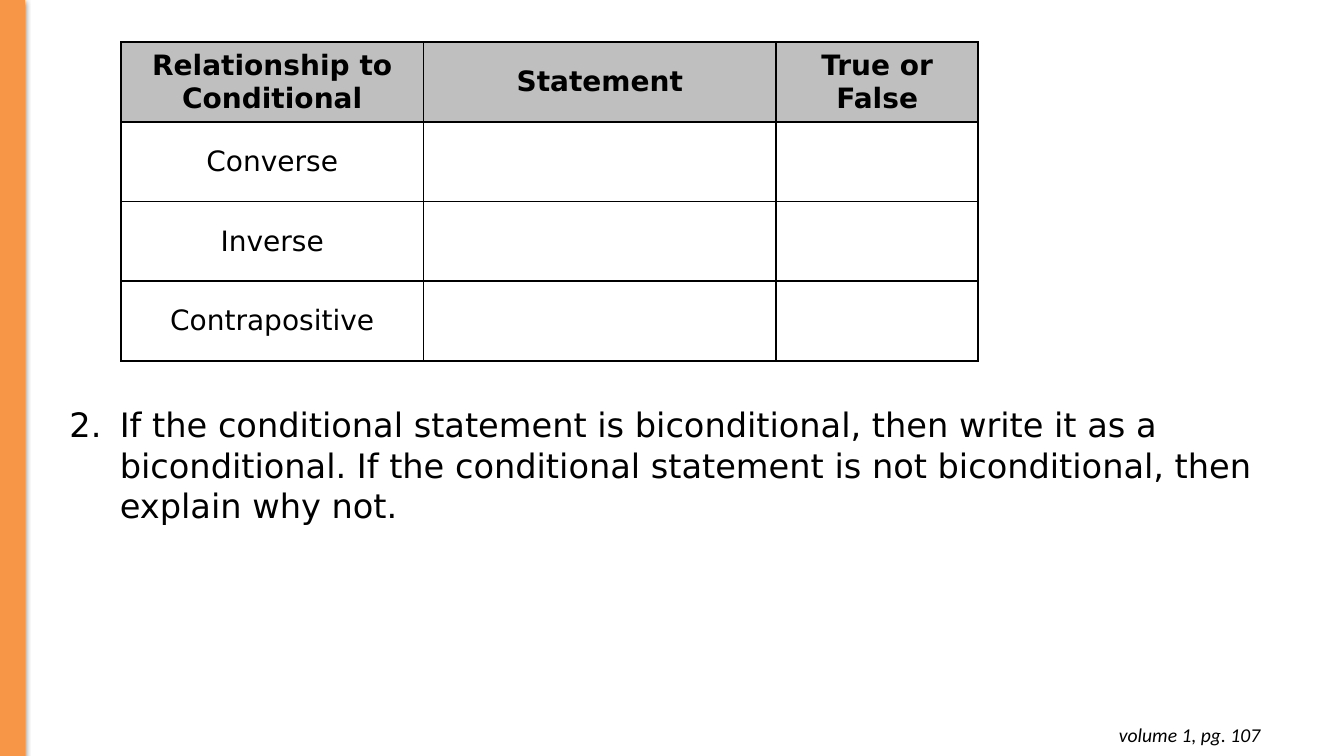
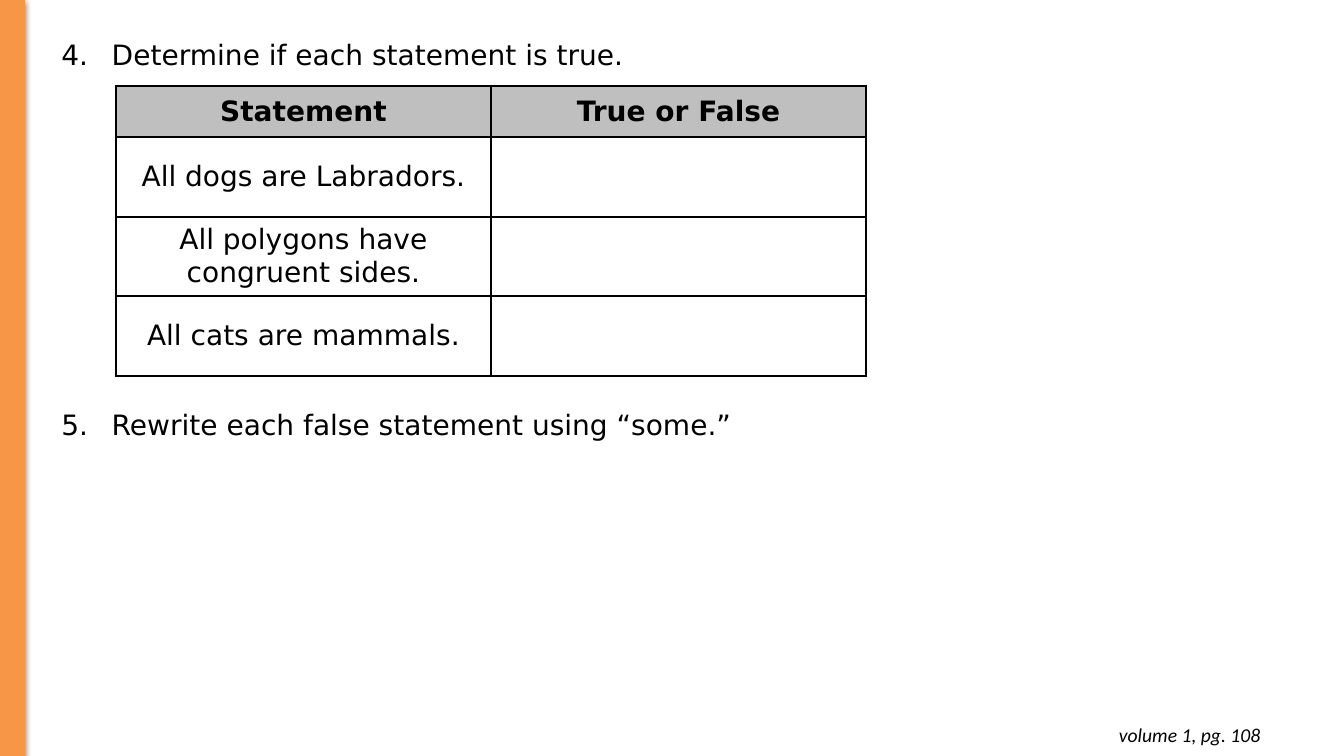
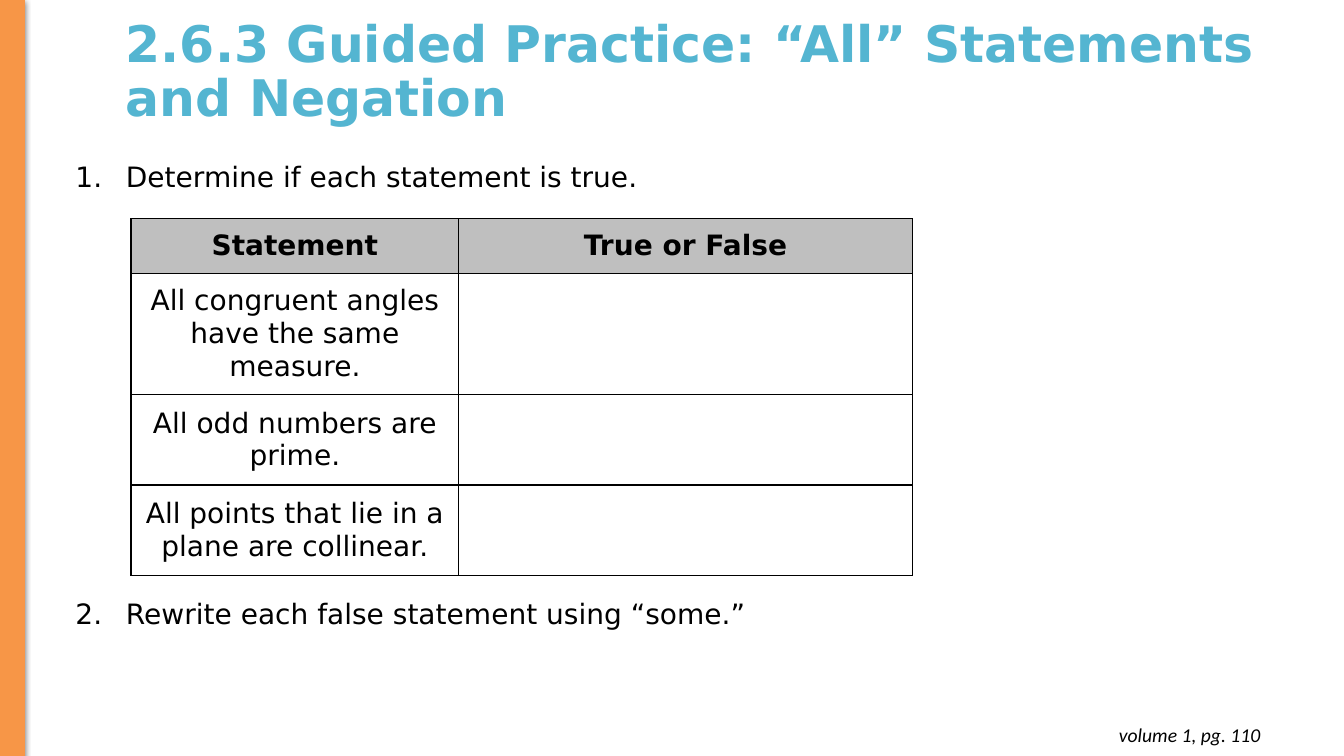
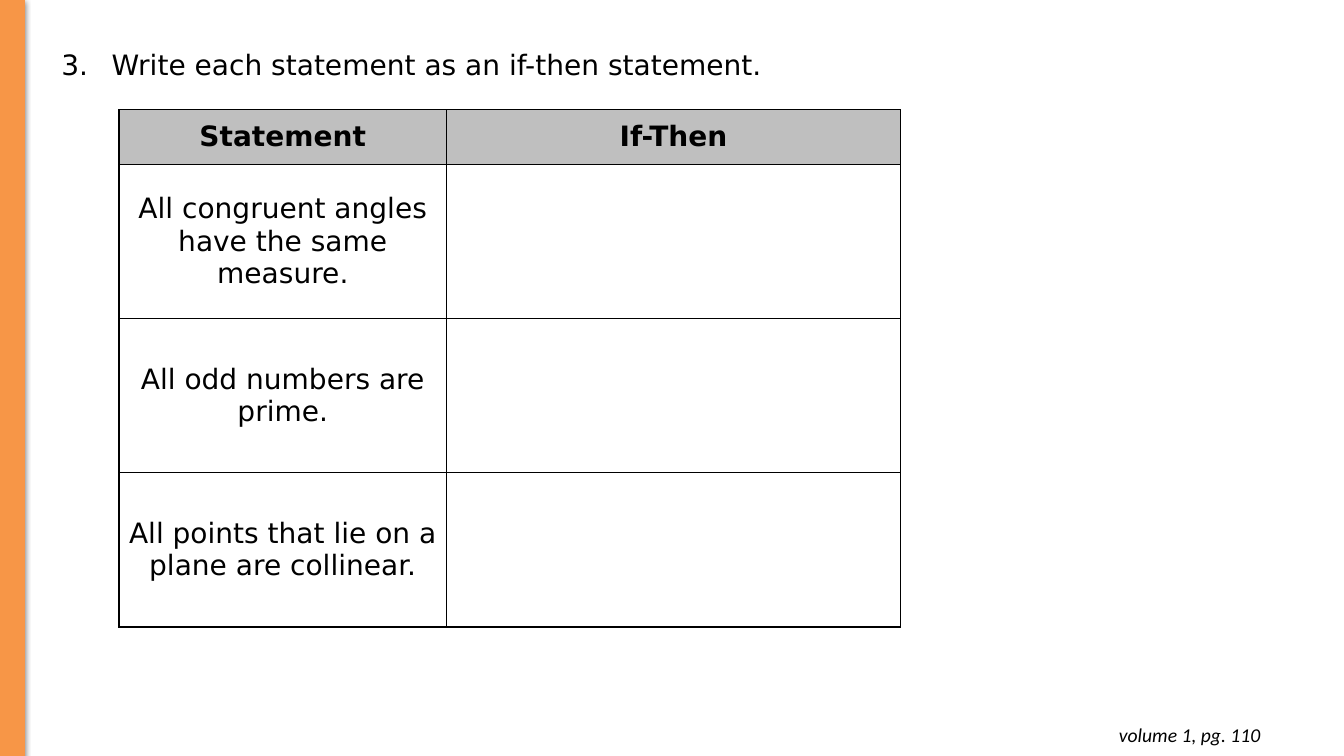
from dataclasses import dataclass
from typing import Optional

import pptx
import pptx.dml.color
import pptx.enum.shapes
import pptx.enum.text
import pptx.oxml.ns
import pptx.oxml.xmlchemy
import pptx.presentation
import pptx.slide
import pptx.text.text
import pptx.util
from lxml import etree

EMU_PER_PX = 9144  # 100 px to the inch
SLIDE_WIDTH, SLIDE_HEIGHT = 1333, 750

BLACK = pptx.dml.color.RGBColor(0x00, 0x00, 0x00)
ORANGE = pptx.dml.color.RGBColor(0xF7, 0x96, 0x47)
BLUE = pptx.dml.color.RGBColor(0x54, 0xB5, 0xD1)
GREY = pptx.dml.color.RGBColor(0xBF, 0xBF, 0xBF)

BODY_FONT = "DejaVu Sans"
FOOTER_FONT = "Calibri"
TABLE_SIZE = 20
HANGING_INDENT = 50

Align = pptx.enum.text.PP_ALIGN
Anchor = pptx.enum.text.MSO_ANCHOR
AutoSize = pptx.enum.text.MSO_AUTO_SIZE
qn = pptx.oxml.ns.qn


@dataclass(frozen=True)
class Box:
    left: int
    top: int
    width: int
    height: int


@dataclass(frozen=True)
class Question:
    number: int
    text: str
    box: Box
    size: int = 20


@dataclass(frozen=True)
class Grid:
    """A table with a header row and answer columns left blank."""
    left: int
    top: int
    columns: tuple[int, ...]
    rows: tuple[int, ...]
    headers: tuple[str, ...]
    labels: tuple[str, ...]
    border: float
    margins: tuple[int, int] = (10, 5)


@dataclass(frozen=True)
class Page:
    number: int
    questions: tuple[Question, ...]
    grid: Grid
    title: Optional[str] = None


PAGES = (
    Page(
        107,
        (Question(2, "If the conditional statement is biconditional, then write it as a "
                     "biconditional. If the conditional statement is not biconditional, "
                     "then explain why not.", Box(59, 396, 1201, 131), 24),),
        Grid(120, 42, (300, 350, 200), (79,) * 4,
             ("Relationship to Conditional", "Statement", "True or False"),
             ("Converse", "Inverse", "Contrapositive"), 1.5),
    ),
    Page(
        108,
        (Question(4, "Determine if each statement is true.", Box(51, 32, 911, 44)),
         Question(5, "Rewrite each false statement using “some.”", Box(51, 399, 911, 44))),
        Grid(115, 85, (372, 372), (51, 79, 79, 79),
             ("Statement", "True or False"),
             ("All dogs are Labradors.", "All polygons have congruent sides.",
              "All cats are mammals."), 1.5),
    ),
    Page(
        110,
        (Question(1, "Determine if each statement is true.", Box(65, 153, 911, 44)),
         Question(2, "Rewrite each false statement using “some.”", Box(65, 587, 911, 44))),
        Grid(130, 217, (325, 450), (54, 120, 90, 90),
             ("Statement", "True or False"),
             ("All congruent angles have the same measure.", "All odd numbers are prime.",
              "All points that lie in a plane are collinear."), 1, (7, 10)),
        "2.6.3 Guided Practice: “All” Statements and Negation",
    ),
    Page(
        110,
        (Question(3, "Write each statement as an if-then statement.", Box(51, 42, 911, 44)),),
        Grid(118, 109, (325, 450), (54, 153, 153, 153),
             ("Statement", "If-Then"),
             ("All congruent angles have the same measure.", "All odd numbers are prime.",
              "All points that lie on a plane are collinear."), 1, (7, 10)),
    ),
)


def px(length: int) -> pptx.util.Emu:
    return pptx.util.Emu(length * EMU_PER_PX)


def place(box: Box) -> tuple[pptx.util.Emu, ...]:
    return px(box.left), px(box.top), px(box.width), px(box.height)


def add_child(parent: etree._Element, tag: str, **attributes: object) -> etree._Element:
    values = {name: str(value) for name, value in attributes.items()}
    return etree.SubElement(parent, qn(tag), values)


def format_runs(paragraph: pptx.text.text._Paragraph, size: int,
                color: pptx.dml.color.RGBColor = BLACK, name: str = BODY_FONT,
                bold: bool = False, italic: bool = False) -> None:
    for run in paragraph.runs:
        run.font.name = name
        run.font.size = pptx.util.Pt(size)
        run.font.bold = bold
        run.font.italic = italic
        run.font.color.rgb = color


def add_text(slide: pptx.slide.Slide, box: Box, text: str,
             vertical_margin: int = 5) -> pptx.text.text.TextFrame:
    text_frame = slide.shapes.add_textbox(*place(box)).text_frame
    text_frame.text = text
    text_frame.word_wrap = True
    text_frame.auto_size = AutoSize.SHAPE_TO_FIT_TEXT
    text_frame.margin_left = text_frame.margin_right = px(10)
    text_frame.margin_top = text_frame.margin_bottom = px(vertical_margin)
    return text_frame


def add_title(slide: pptx.slide.Slide, title: str) -> None:
    text_frame = add_text(slide, Box(115, 0, 1144, 145), title)
    text_frame.auto_size = AutoSize.NONE
    text_frame.vertical_anchor = Anchor.MIDDLE
    paragraph = text_frame.paragraphs[0]
    paragraph.line_spacing = 0.9
    format_runs(paragraph, 36, BLUE, bold=True)


def add_question(slide: pptx.slide.Slide, question: Question) -> None:
    paragraph = add_text(slide, question.box, question.text).paragraphs[0]
    properties = paragraph._p.get_or_add_pPr()
    properties.set("marL", str(px(HANGING_INDENT)))
    properties.set("indent", str(px(-HANGING_INDENT)))
    add_child(properties, "a:buFont", typeface="+mj-lt")
    add_child(properties, "a:buAutoNum", type="arabicPeriod", startAt=question.number)
    format_runs(paragraph, question.size)


def add_side_band(slide: pptx.slide.Slide) -> None:
    band = slide.shapes.add_shape(pptx.enum.shapes.MSO_SHAPE.RECTANGLE,
                                  *place(Box(0, 0, 24, SLIDE_HEIGHT + 1)))
    band.fill.solid()
    band.fill.fore_color.rgb = ORANGE
    band.line.color.rgb = ORANGE
    band.line.width = pptx.util.Pt(0.75)
    band.shadow.inherit = False
    effects = band._element.spPr.find(qn("a:effectLst"))
    shadow = add_child(effects, "a:outerShdw", blurRad=pptx.util.Pt(4.5),
                       dist=pptx.util.Pt(1.5), dir=90 * 60000, rotWithShape=0)
    color = add_child(shadow, "a:srgbClr", val=BLACK)
    add_child(color, "a:alpha", val=50000)


def add_footer(slide: pptx.slide.Slide, page_number: int) -> None:
    text_frame = add_text(slide, Box(972, 707, 288, 44), f"volume 1, pg. {page_number}", 10)
    paragraph = text_frame.paragraphs[0]
    paragraph.alignment = Align.RIGHT
    format_runs(paragraph, 14, name=FOOTER_FONT, italic=True)


def set_borders(cell: pptx.table._Cell, width: float) -> None:
    properties = cell._tc.get_or_add_tcPr()
    for side in ("a:lnL", "a:lnR", "a:lnT", "a:lnB"):
        line = add_child(properties, side, w=pptx.util.Pt(width))
        add_child(add_child(line, "a:solidFill"), "a:srgbClr", val=BLACK)


def format_cell(cell: pptx.table._Cell, grid: Grid, is_header: bool) -> None:
    set_borders(cell, grid.border)
    cell.vertical_anchor = Anchor.MIDDLE
    cell.margin_left = cell.margin_right = px(grid.margins[0])
    cell.margin_top = cell.margin_bottom = px(grid.margins[1])
    if is_header:
        cell.fill.solid()
        cell.fill.fore_color.rgb = GREY
    else:
        cell.fill.background()
    paragraph = cell.text_frame.paragraphs[0]
    paragraph.alignment = Align.CENTER
    format_runs(paragraph, TABLE_SIZE, bold=is_header)


def add_grid(slide: pptx.slide.Slide, grid: Grid) -> None:
    box = Box(grid.left, grid.top, sum(grid.columns), sum(grid.rows))
    table = slide.shapes.add_table(len(grid.rows), len(grid.columns), *place(box)).table
    table.first_row = table.horz_banding = False
    for column, width in zip(table.columns, grid.columns):
        column.width = px(width)
    for row, height in zip(table.rows, grid.rows):
        row.height = px(height)
    for index, header in enumerate(grid.headers):
        table.cell(0, index).text = header
    for index, label in enumerate(grid.labels, start=1):
        table.cell(index, 0).text = label
    for row_index, row in enumerate(table.rows):
        for cell in row.cells:
            format_cell(cell, grid, row_index == 0)


def add_page(presentation: pptx.presentation.Presentation, page: Page) -> None:
    slide = presentation.slides.add_slide(presentation.slide_layouts[6])
    if page.title:
        add_title(slide, page.title)
    for question in page.questions:
        add_question(slide, question)
    add_side_band(slide)
    add_grid(slide, page.grid)
    add_footer(slide, page.number)


def main() -> None:
    presentation = pptx.Presentation()
    presentation.slide_width = px(SLIDE_WIDTH)
    presentation.slide_height = px(SLIDE_HEIGHT)
    for page in PAGES:
        add_page(presentation, page)
    presentation.save("out.pptx")


if __name__ == "__main__":
    main()
